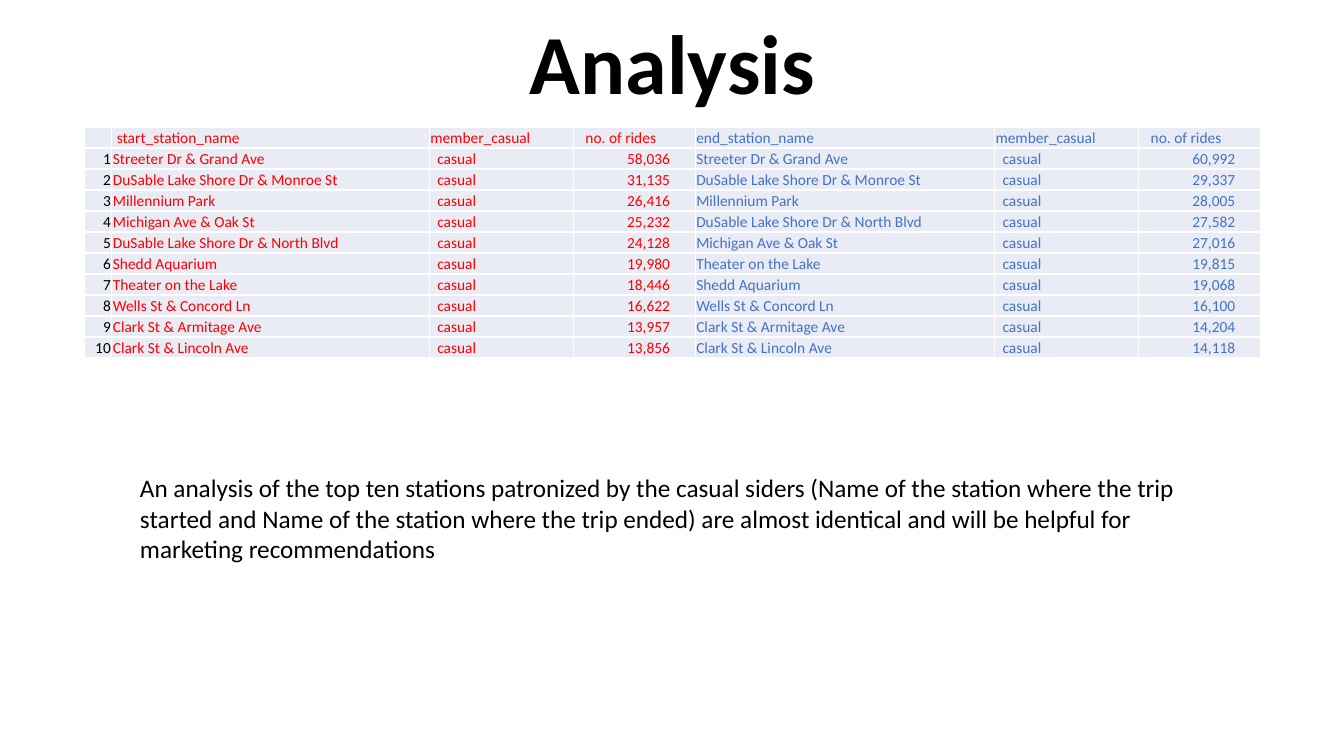
import pptx
import pptx.dml.color
import pptx.enum.text
import pptx.oxml.ns
import pptx.util
import lxml.etree
from dataclasses import dataclass

ALIGN = pptx.enum.text.PP_ALIGN
ANCHOR = pptx.enum.text.MSO_ANCHOR
inch = pptx.util.Inches
WIDE, HIGH = 13.33, 7.5


@dataclass(frozen=True)
class Theme:
    font: str = "Calibri"
    ink: str = "000000"
    start: str = "FF0000"
    end: str = "4472C4"
    band: str = "E9EBF5"
    rule: str = "FFFFFF"
    title: int = 60
    body: int = 18
    cell: int = 11


THEME = Theme()

# Boxes as shares of the slide: left, top, width, height
TABLE = (0.063, 0.168, 0.875, 0.3055)
TITLE = (0.069, 0.0533, 0.8627, 0.1933)
NOTE = (0.0968, 0.6187, 0.7952, 0.1347)

# Column widths in parts of the table width
COLS = (27, 315, 143, 121, 297, 143, 121)

# Left indents in inches
HEAD_PAD = (0, 0.05, 0.01, 0.12, 0.01, 0.01, 0.12)
RIDER_PAD, RIDES_PAD, EDGE = 0.08, 0.25, 0.01

HEAD = ("", "start_station_name", "member_casual", "no. of rides",
        "end_station_name", "member_casual", "no. of rides")
STARTS = (
    ("Streeter Dr & Grand Ave", 58036),
    ("DuSable Lake Shore Dr & Monroe St", 31135),
    ("Millennium Park", 26416),
    ("Michigan Ave & Oak St", 25232),
    ("DuSable Lake Shore Dr & North Blvd", 24128),
    ("Shedd Aquarium", 19980),
    ("Theater on the Lake", 18446),
    ("Wells St & Concord Ln", 16622),
    ("Clark St & Armitage Ave", 13957),
    ("Clark St & Lincoln Ave", 13856),
)
ENDS = (
    ("Streeter Dr & Grand Ave", 60992),
    ("DuSable Lake Shore Dr & Monroe St", 29337),
    ("Millennium Park", 28005),
    ("DuSable Lake Shore Dr & North Blvd", 27582),
    ("Michigan Ave & Oak St", 27016),
    ("Theater on the Lake", 19815),
    ("Shedd Aquarium", 19068),
    ("Wells St & Concord Ln", 16100),
    ("Clark St & Armitage Ave", 14204),
    ("Clark St & Lincoln Ave", 14118),
)
REMARK = (
    "An analysis of the top ten stations patronized by the casual siders "
    "(Name of the station where the trip started and Name of the station "
    "where the trip ended) are almost identical and will be helpful for "
    "marketing recommendations"
)


def place(box):
    left, top, width, height = box
    return (inch(left * WIDE), inch(top * HIGH),
            inch(width * WIDE), inch(height * HIGH))


def color(code):
    return pptx.dml.color.RGBColor.from_string(code)


def write(para, text, size, code=THEME.ink, bold=False):
    run = para.add_run()
    run.text = text
    run.font.name = THEME.font
    run.font.size = pptx.util.Pt(size)
    run.font.bold = bold
    run.font.color.rgb = color(code)


def border(cell):
    props = cell._tc.get_or_add_tcPr()
    name = pptx.oxml.ns.qn
    for index, side in enumerate(("a:lnL", "a:lnR", "a:lnT", "a:lnB")):
        line = lxml.etree.Element(name(side), w=str(pptx.util.Pt(1)))
        fill = lxml.etree.SubElement(line, name("a:solidFill"))
        lxml.etree.SubElement(fill, name("a:srgbClr"), val=THEME.rule)
        props.insert(index, line)


def fill_cell(cell, text, code, left=EDGE, right=EDGE, align=ALIGN.LEFT):
    cell.fill.solid()
    cell.fill.fore_color.rgb = color(THEME.band)
    border(cell)
    cell.vertical_anchor = ANCHOR.BOTTOM
    cell.margin_left, cell.margin_right = inch(left), inch(right)
    cell.margin_top, cell.margin_bottom = inch(EDGE), 0
    para = cell.text_frame.paragraphs[0]
    para.alignment = align
    if text:
        write(para, text, THEME.cell, code)
    else:
        para.font.size = pptx.util.Pt(THEME.cell)


def add_stations(slide, box):
    left, top, width, height = place(box)
    count = len(STARTS) + 1
    table = slide.shapes.add_table(
        count, len(COLS), left, top, width, height).table
    table.first_row = table.horz_banding = False
    for col, part in zip(table.columns, COLS):
        col.width = int(width * part / sum(COLS))
    for row in table.rows:
        row.height = height // count

    # Header row
    for col, (text, pad) in enumerate(zip(HEAD, HEAD_PAD)):
        code = THEME.start if col < 4 else THEME.end
        fill_cell(table.cell(0, col), text, code, left=pad)

    # Ranked stations: start group, then end group
    for rank, pair in enumerate(zip(STARTS, ENDS), 1):
        fill_cell(table.cell(rank, 0), str(rank), THEME.ink,
                  align=ALIGN.RIGHT)
        groups = zip((1, 4), pair, (THEME.start, THEME.end))
        for col, (name, rides), code in groups:
            fill_cell(table.cell(rank, col), name, code)
            fill_cell(table.cell(rank, col + 1), "casual", code,
                      left=RIDER_PAD)
            fill_cell(table.cell(rank, col + 2), f"{rides:,}", code,
                      right=RIDES_PAD, align=ALIGN.RIGHT)


def add_title(slide, box):
    frame = slide.shapes.add_textbox(*place(box)).text_frame
    frame.word_wrap = True
    frame.vertical_anchor = ANCHOR.MIDDLE
    # A deep lower inset lifts the heading clear of the table
    frame.margin_bottom = inch(0.97)
    para = frame.paragraphs[0]
    para.alignment = ALIGN.CENTER
    para.line_spacing = 0.9
    write(para, "Analysis", THEME.title, bold=True)


def add_note(slide, box):
    frame = slide.shapes.add_textbox(*place(box)).text_frame
    frame.word_wrap = True
    frame.auto_size = pptx.enum.text.MSO_AUTO_SIZE.SHAPE_TO_FIT_TEXT
    write(frame.paragraphs[0], REMARK, THEME.body)


def main():
    deck = pptx.Presentation()
    deck.slide_width, deck.slide_height = inch(WIDE), inch(HIGH)
    slide = deck.slides.add_slide(deck.slide_layouts[6])
    add_stations(slide, TABLE)
    add_title(slide, TITLE)
    add_note(slide, NOTE)
    deck.save("out.pptx")


if __name__ == "__main__":
    main()
